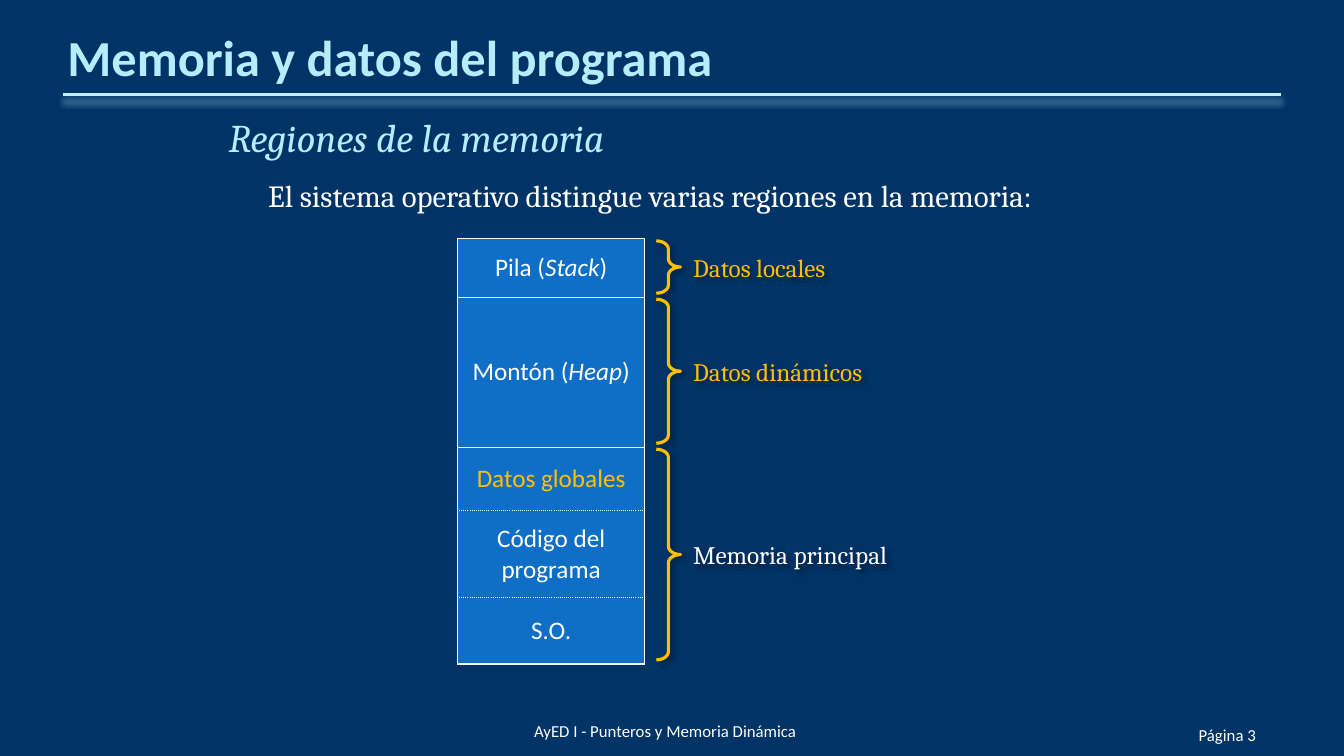
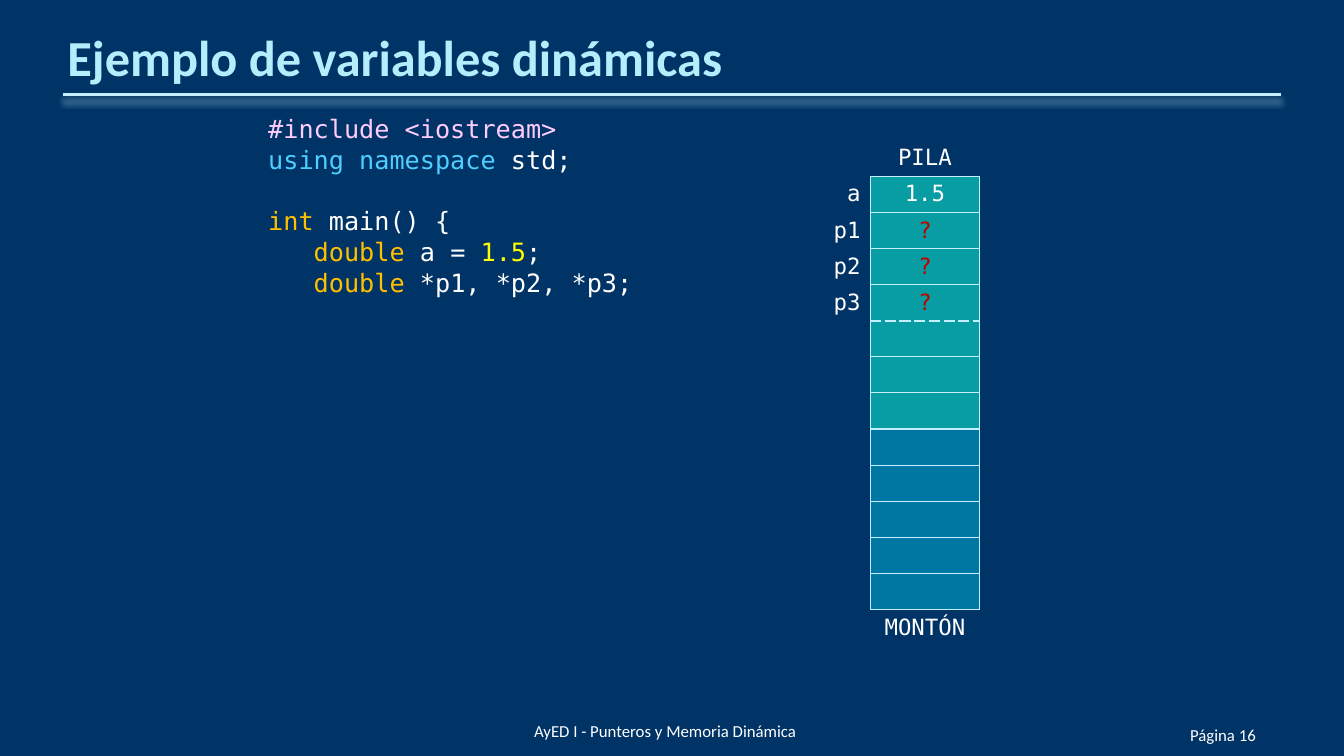
"""Two lecture slides on program memory and dynamic variables."""
from lxml.etree import SubElement
from pptx import Presentation
from pptx.dml.color import RGBColor
from pptx.enum.shapes import MSO_CONNECTOR, MSO_SHAPE
from pptx.enum.text import MSO_ANCHOR as ANCHOR, PP_ALIGN as ALIGN
from pptx.oxml.ns import qn
from pptx.util import Cm, Pt

COLORS = {
    "back": "003366", "title": "B5EDFD", "rule": "C4EFFF", "white": "FFFFFF",
    "black": "000000", "region": "0F6FC6", "gold": "FFC000", "stack": "089CA3",
    "heap": "0076A3", "unknown": "C00000", "include": "FFCCFF",
    "keyword": "4FCEFF", "number": "FFFF00",
}
SANS, SERIF, MONO = "Calibri", "Cambria", "DejaVu Sans Mono"
FOOTER = "AyED I - Punteros y Memoria Dinámica"

SUBTITLE = "Regiones de la memoria"
INTRO = "El sistema operativo distingue varias regiones en la memoria:"
REGIONS = [
    (1.47, [("Pila (",), ("Stack", "white", True), (")",)]),
    (3.78, [("Montón (",), ("Heap", "white", True), (")",)]),
    (1.6, [("Datos globales", "gold")]),
    (2.18, [("Código del programa",)]),
    (1.68, [("S.O.",)]),
]
DOTTED_BELOW = (2, 3)
BRACES = [
    (0, 1, "Datos locales", "gold"),
    (1, 2, "Datos dinámicos", "gold"),
    (2, 5, "Memoria principal", "white"),
]

CODE = [
    [("#include <iostream>", "include")],
    [("using namespace ", "keyword"), ("std;",)],
    [("int", "gold"), (" main() {",)],
    [("   ",), ("double", "gold"), (" a = ",), ("1.5", "number"), (";",)],
    [("   ",), ("double", "gold"), (" *p1, *p2, *p3;",)],
]
GAP_BEFORE = 2
VARIABLES = [("a", "1.5", "white"), ("p1", "?", "unknown"),
             ("p2", "?", "unknown"), ("p3", "?", "unknown")]
STACK_CELLS, HEAP_CELLS = 7, 5


def rgb(name):
    return RGBColor.from_string(COLORS[name])


def fill_paragraph(p, runs, font, size, color="white", align=ALIGN.LEFT):
    p.alignment = align
    p.font.name, p.font.size = font, Pt(size)
    p.font.color.rgb = rgb(color)
    for text, *style in runs:
        r = p.add_run()
        r.text = text
        if style:
            r.font.color.rgb = rgb(style[0])
        if len(style) > 1:
            r.font.italic = style[1]


def add_box(s, left, top, width, height, anchor=ANCHOR.TOP, inset=True):
    sp = s.shapes.add_textbox(Cm(left), Cm(top), Cm(width), Cm(height))
    tf = sp.text_frame
    tf.word_wrap, tf.vertical_anchor = True, anchor
    if not inset:
        tf.margin_left = tf.margin_right = tf.margin_top = tf.margin_bottom = 0
    return sp


def add_shadow(sp, color, alpha, blur, dist, angle):
    effects = SubElement(sp._element.spPr, qn("a:effectLst"))
    shadow = SubElement(effects, qn("a:outerShdw"), blurRad=str(Pt(blur)),
                        dist=str(Pt(dist)), dir=str(angle * 60000),
                        algn="t", rotWithShape="0")
    tint = SubElement(shadow, qn("a:srgbClr"), val=COLORS[color])
    SubElement(tint, qn("a:alpha"), val=str(alpha * 1000))


def set_borders(cell, sides, color):
    """Draw the sides given as {side: (points, dash)} and clear the others."""
    tcPr = cell._tc.get_or_add_tcPr()
    for side in "LRTB":
        width, dash = sides.get(side, (0, None))
        ln = SubElement(tcPr, qn(f"a:ln{side}"), w=str(Pt(width)))
        if width:
            fill = SubElement(ln, qn("a:solidFill"))
            SubElement(fill, qn("a:srgbClr"), val=COLORS[color])
            SubElement(ln, qn("a:prstDash"), val=dash)
        else:
            SubElement(ln, qn("a:noFill"))


def style_cell(cell, sides, line, fill=None):
    set_borders(cell, sides, line)
    cell.vertical_anchor = ANCHOR.MIDDLE
    if fill:
        cell.fill.solid()
        cell.fill.fore_color.rgb = rgb(fill)
    else:
        cell.fill.background()


def add_grid(s, left, top, widths, heights):
    table = s.shapes.add_table(len(heights), len(widths), Cm(left), Cm(top),
                               Cm(sum(widths)), Cm(sum(heights))).table
    table.first_row = table.horz_banding = False
    for column, width in zip(table.columns, widths):
        column.width = Cm(width)
    for row, height in zip(table.rows, heights):
        row.height = Cm(height)
    return table


def add_slide(prs, title, page):
    s = prs.slides.add_slide(prs.slide_layouts[6])
    s.background.fill.solid()
    s.background.fill.fore_color.rgb = rgb("back")
    rule = s.shapes.add_connector(MSO_CONNECTOR.STRAIGHT, Cm(1.58), Cm(2.39),
                                  Cm(32.28), Cm(2.39))
    rule.line.color.rgb, rule.line.width = rgb("rule"), Pt(2.25)
    add_shadow(rule, "rule", 40, 4.5, 4, 90)
    tf = add_box(s, 1.7, 0.79, 30.48, 1.4, ANCHOR.BOTTOM, False).text_frame
    fill_paragraph(tf.paragraphs[0], [(title,)], SANS, 36, "title")
    tf.paragraphs[0].font.bold = True
    for text, box, align in (
            (f"Página {page}", (28.32, 17.75, 3.33, 1.02), ALIGN.RIGHT),
            (FOOTER, (13.46, 17.65, 12.17, 1.02), ALIGN.LEFT)):
        tf = add_box(s, *box, ANCHOR.BOTTOM, False).text_frame
        fill_paragraph(tf.paragraphs[0], [(text,)], SANS, 12, align=align)
    body = add_box(s, 5.51, 2.72, 22.86, 14.2).text_frame
    return s, body


def indent(p):
    p._p.get_or_add_pPr().set("marL", str(Cm(1)))


def build_regions(prs):
    s, body = add_slide(prs, "Memoria y datos del programa", 3)
    p = body.paragraphs[0]
    fill_paragraph(p, [(SUBTITLE, "title", True)], SERIF, 28)
    p.space_after = Pt(12)
    p = body.add_paragraph()
    indent(p)
    fill_paragraph(p, [(INTRO,)], SERIF, 22)

    top, heights = 6.02, [height for height, _ in REGIONS]
    table = add_grid(s, 11.53, top, [4.72], heights)
    solid, dotted = (1, "solid"), (1, "sysDot")
    for i, (_, runs) in enumerate(REGIONS):
        cell = table.cell(i, 0)
        sides = {"L": solid, "R": solid,
                 "T": dotted if i - 1 in DOTTED_BELOW else solid,
                 "B": dotted if i in DOTTED_BELOW else solid}
        style_cell(cell, sides, "white", "region")
        fill_paragraph(cell.text_frame.paragraphs[0], runs, SANS, 18,
                       align=ALIGN.CENTER)

    for first, end, text, color in BRACES:
        y = top + sum(heights[:first]) + 0.05
        height = sum(heights[first:end]) - 0.15
        brace = s.shapes.add_shape(MSO_SHAPE.RIGHT_BRACE, Cm(16.54), Cm(y),
                                   Cm(0.61), Cm(height))
        brace.adjustments[0] = 0.34
        brace.fill.background()
        brace.line.color.rgb, brace.line.width = rgb("gold"), Pt(2.25)
        label = add_box(s, 17.22, y + height / 2 - 0.51, 5.6, 1.02,
                        ANCHOR.MIDDLE)
        fill_paragraph(label.text_frame.paragraphs[0], [(text,)], SERIF, 18,
                       color)
        for sp in (brace, label):
            add_shadow(sp, "black", 40, 4, 3, 45)


def build_example(prs):
    s, body = add_slide(prs, "Ejemplo de variables dinámicas", 16)
    for i, runs in enumerate(CODE):
        p = body.add_paragraph() if i else body.paragraphs[0]
        indent(p)
        fill_paragraph(p, runs, MONO, 18)
        p.space_after = Pt(0.6)
        if i == GAP_BEFORE:
            p.space_before = Pt(21.5)

    cells = STACK_CELLS + HEAP_CELLS
    texts = {(0, 1): ("PILA", "white"), (cells + 1, 1): ("MONTÓN", "white")}
    for i, (name, value, color) in enumerate(VARIABLES, 1):
        texts[i, 0], texts[i, 1] = (name, "white"), (value, color)
    solid, dashed = (1, "solid"), (1.5, "sysDash")
    used = len(VARIABLES)
    table = add_grid(s, 20.14, 3.53, [1.8, 2.74], [0.91] * (cells + 2))
    for i in range(cells + 2):
        name, value = table.cell(i, 0), table.cell(i, 1)
        inside = 1 <= i <= cells
        style_cell(name, {"R": solid} if inside else {}, "rule")
        if inside:
            sides = {"L": solid, "R": solid,
                     "T": dashed if i == used + 1 else solid,
                     "B": dashed if i == used else solid}
            style_cell(value, sides, "rule",
                       "stack" if i <= STACK_CELLS else "heap")
        else:
            style_cell(value, {"T" if i else "B": solid}, "rule")
        for j, cell in enumerate((name, value)):
            cell.margin_top = cell.margin_bottom = 0
            if (i, j) in texts:
                text, color = texts[i, j]
                fill_paragraph(cell.text_frame.paragraphs[0], [(text,)], MONO,
                               16, color, ALIGN.CENTER if j else ALIGN.RIGHT)


def main():
    prs = Presentation()
    prs.slide_width, prs.slide_height = Cm(33.87), Cm(19.05)
    build_regions(prs)
    build_example(prs)
    prs.save("out.pptx")


if __name__ == "__main__":
    main()
